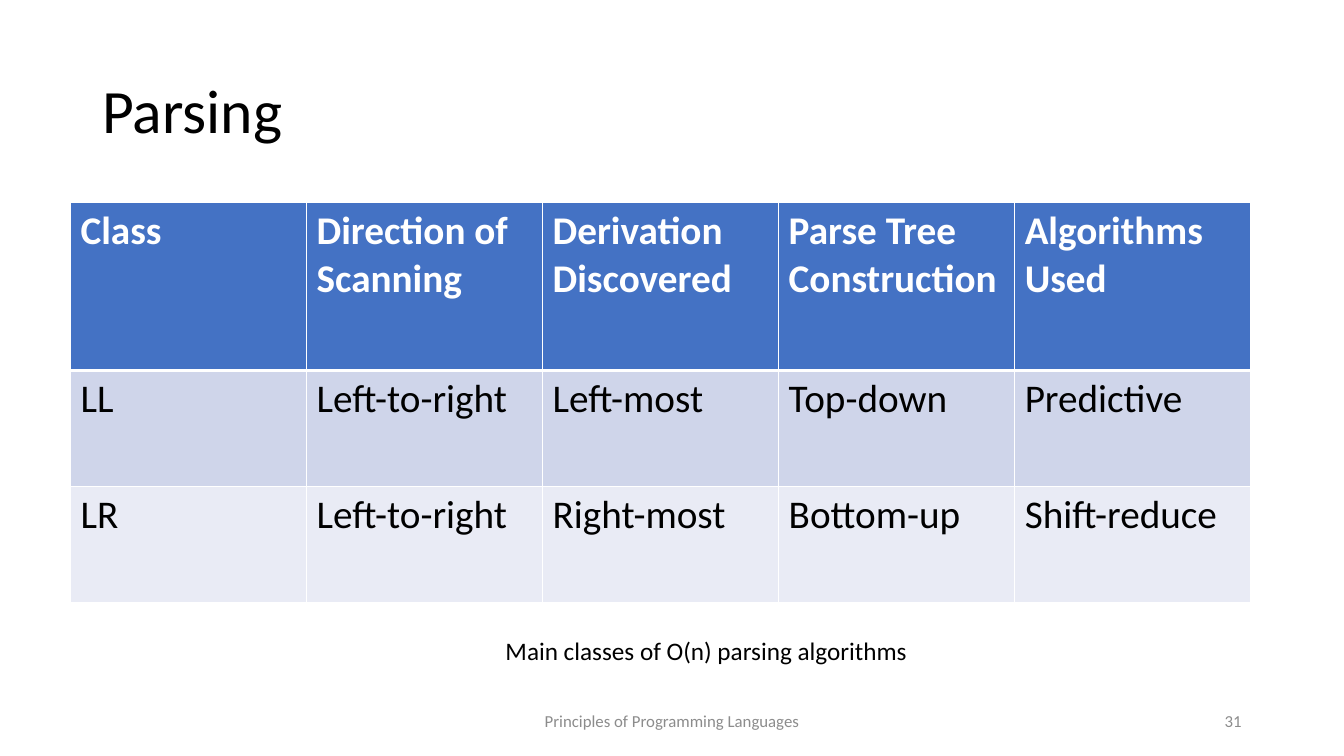
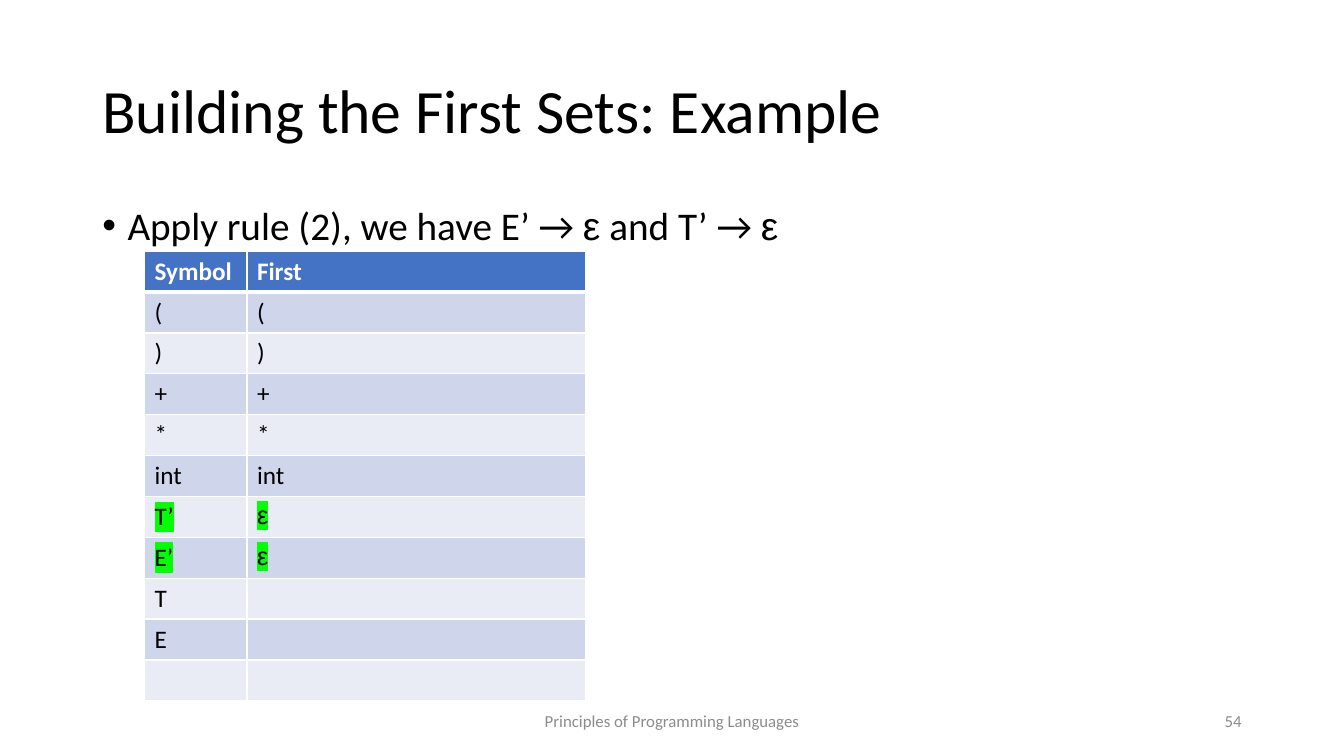
from dataclasses import dataclass
from itertools import groupby

from lxml import etree
from pptx import Presentation
from pptx import util as u
from pptx.dml.color import RGBColor
from pptx.enum import text
from pptx.oxml import ns


@dataclass(frozen=True)
class Theme:
    ink: str = "000000"
    paper: str = "FFFFFF"
    muted: str = "8C8C8C"
    header: str = "4472C4"
    bands: tuple[str, str] = ("CFD5EA", "E9EBF5")
    marker: str = "00FF00"
    font: str = "Calibri"
    greek_font: str = "Arial"
    title_size: int = 44
    body_size: int = 28
    small_size: int = 18
    footer_size: int = 12
    thin: int = 1
    thick: int = 3


@dataclass(frozen=True)
class Box:
    """A place on the grid, in columns and rows."""
    left: float
    top: float
    width: float
    height: float


@dataclass(frozen=True)
class Grid:
    """Table content with its column widths and row heights in grid units."""
    left: float
    top: float
    columns: list[float]
    heights: list[float]
    size: int
    rows: list[list[str]]
    marked_rows: tuple[int, ...] = ()


THEME = Theme()
COLUMNS, ROWS = 160, 90
WIDTH, HEIGHT = u.Inches(13.33), u.Inches(7.5)
TITLE = Box(11, 4.8, 138, 17.4)
BODY = Box(11, 24, 138, 57)
FOOTER = Box(53, 83.4, 54, 4.8)
NUMBER = Box(113, 83.4, 36, 4.8)
CAPTION = Box(59, 75.1, 50.8, 4.8)

PARSER_CLASSES = Grid(
    8.4, 24.1, [28.1] * 5, [20, 13.8, 13.8], THEME.body_size,
    [["Class", "Direction of Scanning", "Derivation Discovered",
      "Parse Tree Construction", "Algorithms Used"],
     ["LL", "Left-to-right", "Left-most", "Top-down", "Predictive"],
     ["LR", "Left-to-right", "Right-most", "Bottom-up", "Shift-reduce"]])

TERMINALS = ["(", ")", "+", "*", "int"]
FIRST_SETS = Grid(
    17.2, 29.9, [12.2, 40.3], [4.87] * 11, THEME.small_size,
    [["Symbol", "First"], *([symbol, symbol] for symbol in TERMINALS),
     ["T’", "ε"], ["E’", "ε"], ["T", ""], ["E", ""], ["", ""]],
    marked_rows=(6, 7))


def across(columns: float) -> int:
    return round(WIDTH * columns / COLUMNS)


def down(rows: float) -> int:
    return round(HEIGHT * rows / ROWS)


def write(paragraph, words: str, size: int, color: str = THEME.ink,
          bold: bool = False, marked: bool = False) -> None:
    """Fill a paragraph; epsilon gets the Greek font and, if marked, a highlight."""
    font = paragraph.font
    font.name, font.size, font.bold = THEME.font, u.Pt(size), bold
    font.color.rgb = RGBColor.from_string(color)
    for greek, letters in groupby(words, key=lambda letter: letter == "ε"):
        run = paragraph.add_run()
        run.text = "".join(letters)
        if marked:
            highlight = etree.SubElement(run._r.get_or_add_rPr(), ns.qn("a:highlight"))
            etree.SubElement(highlight, ns.qn("a:srgbClr"), val=THEME.marker)
        if greek:
            run.font.name = THEME.greek_font


def add_text(slide, box: Box, words: str, size: int, color: str = THEME.ink,
             align=text.PP_ALIGN.LEFT, anchor=text.MSO_ANCHOR.MIDDLE,
             spacing: float = 1.0, wrap: bool = True, bullet: bool = False) -> None:
    frame = slide.shapes.add_textbox(across(box.left), down(box.top),
                                     across(box.width), down(box.height)).text_frame
    frame.word_wrap, frame.vertical_anchor = wrap, anchor
    paragraph = frame.paragraphs[0]
    paragraph.alignment, paragraph.line_spacing = align, spacing
    if bullet:
        properties = paragraph._p.get_or_add_pPr()
        indent = u.Inches(0.25)
        properties.set("marL", str(indent))
        properties.set("indent", str(-indent))
        etree.SubElement(properties, ns.qn("a:buFont"), typeface="Arial")
        etree.SubElement(properties, ns.qn("a:buChar"), char="•")
    write(paragraph, words, size, color)


def add_borders(cell, top: int, bottom: int) -> None:
    properties = cell._tc.get_or_add_tcPr()
    sides = {"lnL": THEME.thin, "lnR": THEME.thin, "lnT": top, "lnB": bottom}
    for side, points in sides.items():
        line = etree.SubElement(properties, ns.qn(f"a:{side}"), w=str(u.Pt(points)))
        fill = etree.SubElement(line, ns.qn("a:solidFill"))
        etree.SubElement(fill, ns.qn("a:srgbClr"), val=THEME.paper)


def add_grid(slide, grid: Grid) -> None:
    table = slide.shapes.add_table(
        len(grid.rows), len(grid.columns), across(grid.left), down(grid.top),
        across(sum(grid.columns)), down(sum(grid.heights))).table
    table.horz_banding = False
    for column, width in zip(table.columns, grid.columns):
        column.width = across(width)
    for index, (row, height, entries) in enumerate(
            zip(table.rows, grid.heights, grid.rows)):
        row.height = down(height)
        heading = index == 0
        for cell, words in zip(row.cells, entries):
            add_borders(cell, THEME.thick if index == 1 else THEME.thin,
                        THEME.thick if heading else THEME.thin)
            cell.fill.solid()
            cell.fill.fore_color.rgb = RGBColor.from_string(
                THEME.header if heading else THEME.bands[(index - 1) % 2])
            write(cell.text_frame.paragraphs[0], words, grid.size,
                  THEME.paper if heading else THEME.ink,
                  bold=heading, marked=index in grid.marked_rows)


def add_slide(deck, title: str, number: int):
    """Start a slide with the shared title, footer and page number."""
    slide = deck.slides.add_slide(deck.slide_layouts[6])
    add_text(slide, TITLE, title, THEME.title_size, spacing=0.9)
    add_text(slide, FOOTER, "Principles of Programming Languages",
             THEME.footer_size, THEME.muted, text.PP_ALIGN.CENTER)
    add_text(slide, NUMBER, str(number), THEME.footer_size, THEME.muted,
             text.PP_ALIGN.RIGHT)
    return slide


def main() -> None:
    deck = Presentation()
    deck.slide_width, deck.slide_height = WIDTH, HEIGHT

    # Classes of parsing algorithms
    parsing = add_slide(deck, "Parsing", 31)
    add_grid(parsing, PARSER_CLASSES)
    add_text(parsing, CAPTION, "Main classes of O(n) parsing algorithms",
             THEME.small_size, anchor=text.MSO_ANCHOR.TOP, wrap=False)

    # First sets after rule 2
    example = add_slide(deck, "Building the First Sets: Example", 54)
    add_text(example, BODY, "Apply rule (2), we have E’ → ε and T’ → ε",
             THEME.body_size, anchor=text.MSO_ANCHOR.TOP, spacing=0.9, bullet=True)
    add_grid(example, FIRST_SETS)

    deck.save("out.pptx")


if __name__ == "__main__":
    main()
